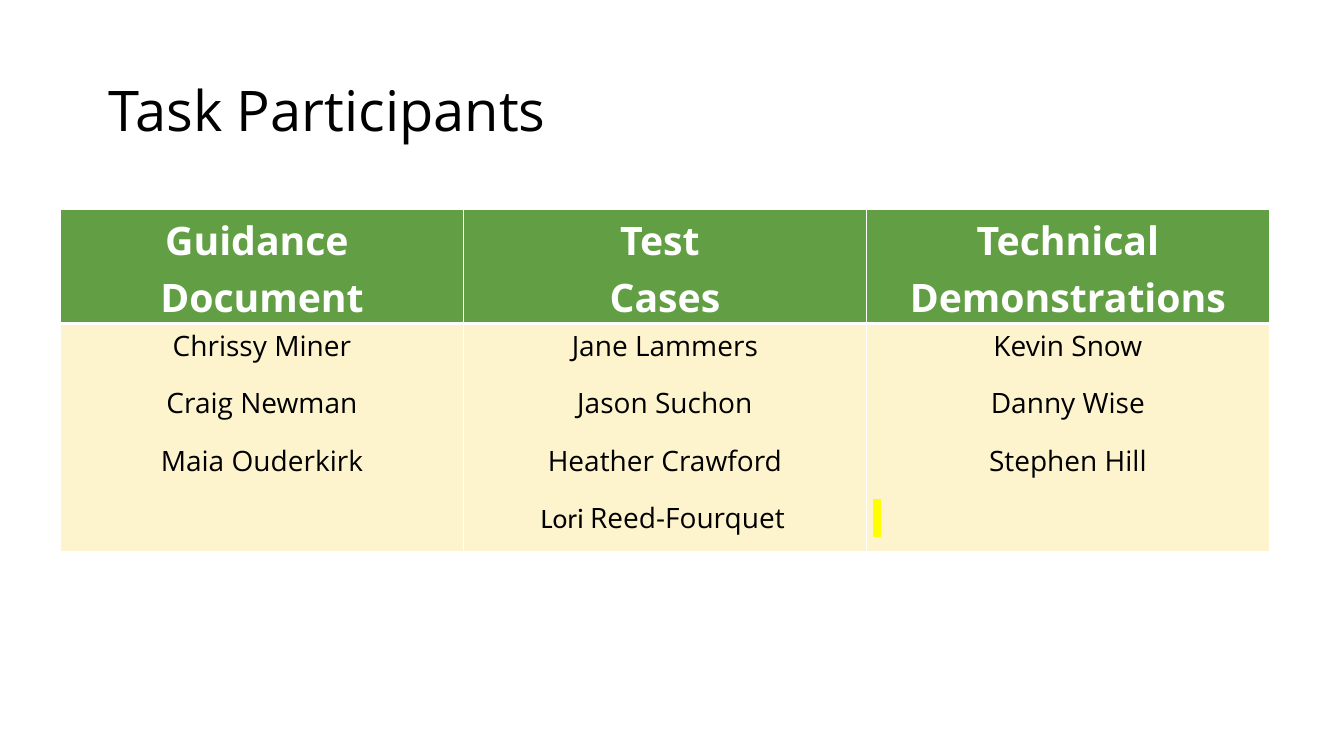
from dataclasses import dataclass

from lxml import etree
from pptx import Presentation
from pptx.dml.color import RGBColor
from pptx.enum.text import MSO_ANCHOR, MSO_AUTO_SIZE, PP_ALIGN
from pptx.oxml.ns import qn
from pptx.util import Inches, Pt

LEFT, CENTER = PP_ALIGN.LEFT, PP_ALIGN.CENTER
MIDDLE, TOP = MSO_ANCHOR.MIDDLE, MSO_ANCHOR.TOP
NO_AUTOFIT = MSO_AUTO_SIZE.NONE
TITLE_ONLY = 5


@dataclass(frozen=True)
class Theme:
    font: str = "Open Sans"
    accent_font: str = "Calibri"
    ink: str = "000000"
    white: str = "FFFFFF"
    header_fill: str = "629F44"
    body_fill: str = "FDF3CC"
    marker: str = "FFFF00"
    title_size: int = 40
    header_size: int = 28
    name_size: int = 20
    small_size: int = 11


THEME = Theme()

# Each group: heading lines, then participants
GROUPS = [
    (["Guidance ", "Document"],
     ["Chrissy Miner", "Craig Newman", "Maia Ouderkirk"]),
    (["Test ", "Cases"],
     ["Jane Lammers", "Jason Suchon", "Heather Crawford"]),
    (["Technical Demonstrations"],
     ["Kevin Snow", "Danny Wise", "Stephen Hill"]),
]


def style_font(font, size, color, bold=False):
    font.name = THEME.font
    font.size = Pt(size)
    font.bold = bold
    font.color.rgb = RGBColor.from_string(color)


def add_title(slide, text, left, top, width, height):
    title = slide.shapes.title
    title.left, title.top, title.width, title.height = left, top, width, height
    frame = title.text_frame
    frame.text = text
    frame.auto_size = NO_AUTOFIT
    frame.vertical_anchor = MIDDLE
    heading = frame.paragraphs[0]
    heading.alignment = LEFT
    heading.line_spacing = 0.9
    style_font(heading.font, THEME.title_size, THEME.ink)


def set_borders(cell, **widths):
    """Draw white cell borders; keywords are L, R, T, B with points."""
    properties = cell._tc.get_or_add_tcPr()
    for position, (side, width) in enumerate(widths.items()):
        line = etree.Element(qn(f"a:ln{side}"), w=str(Pt(width)))
        fill = etree.SubElement(line, qn("a:solidFill"))
        etree.SubElement(fill, qn("a:srgbClr"), val=THEME.white)
        properties.insert(position, line)


def add_line(frame, parts, size, color, bold=False, align=CENTER, after=0):
    """Fill the empty first paragraph, or append one; return its runs."""
    first = frame.paragraphs[0]
    line = first if not first.runs else frame.add_paragraph()
    line.alignment = align
    line.line_spacing = 1.07
    line.space_before, line.space_after = Pt(0), Pt(after)
    style_font(line.font, size, color, bold)
    runs = []
    for part in parts:
        run = line.add_run()
        run.text = part
        runs.append(run)
    return runs


def format_cell(cell, fill, bottom):
    cell.margin_left = cell.margin_right = Inches(0.07)
    cell.margin_top = cell.margin_bottom = 0
    cell.vertical_anchor = TOP
    cell.fill.solid()
    cell.fill.fore_color.rgb = RGBColor.from_string(fill)
    set_borders(cell, L=1, R=1, T=3 if fill == THEME.body_fill else 1, B=bottom)


def highlight(run, color):
    properties = run._r.get_or_add_rPr()
    mark = etree.SubElement(properties, qn("a:highlight"))
    etree.SubElement(mark, qn("a:srgbClr"), val=color)


def add_participants(slide, left, top, width, row_heights):
    table = slide.shapes.add_table(
        2, len(GROUPS), left, top, width, sum(row_heights)).table
    table.horz_banding = False
    for row, height in zip(table.rows, row_heights):
        row.height = height

    for index, (heading, names) in enumerate(GROUPS):
        header, body = table.cell(0, index), table.cell(1, index)
        format_cell(header, THEME.header_fill, bottom=3)
        format_cell(body, THEME.body_fill, bottom=1)
        for text in heading:
            add_line(header.text_frame, [text], THEME.header_size,
                     THEME.white, bold=True)
        for name in names:
            add_line(body.text_frame, [name], THEME.name_size, THEME.ink,
                     after=12)

    # Fourth entries: mixed type for one name, a highlighted open slot
    given, _, gap = add_line(
        table.cell(1, 1).text_frame, ["Lori ", "Reed-Fourquet", " "],
        THEME.name_size, THEME.ink, after=12)
    given.font.name = THEME.accent_font
    gap.font.size = Pt(THEME.small_size)
    open_slot, = add_line(table.cell(1, 2).text_frame, [" "],
                          THEME.name_size, THEME.ink, align=LEFT, after=12)
    highlight(open_slot, THEME.marker)


def main():
    deck = Presentation()
    deck.slide_width, deck.slide_height = Inches(13.33), Inches(7.5)
    slide = deck.slides.add_slide(deck.slide_layouts[TITLE_ONLY])
    add_title(slide, "Task Participants",
              Inches(0.98), Inches(0.75), Inches(8.62), Inches(0.74))
    add_participants(slide, Inches(0.6), Inches(2.08), Inches(11.99),
                     [Inches(0.78), Inches(2.26)])
    deck.save("out.pptx")


if __name__ == "__main__":
    main()
